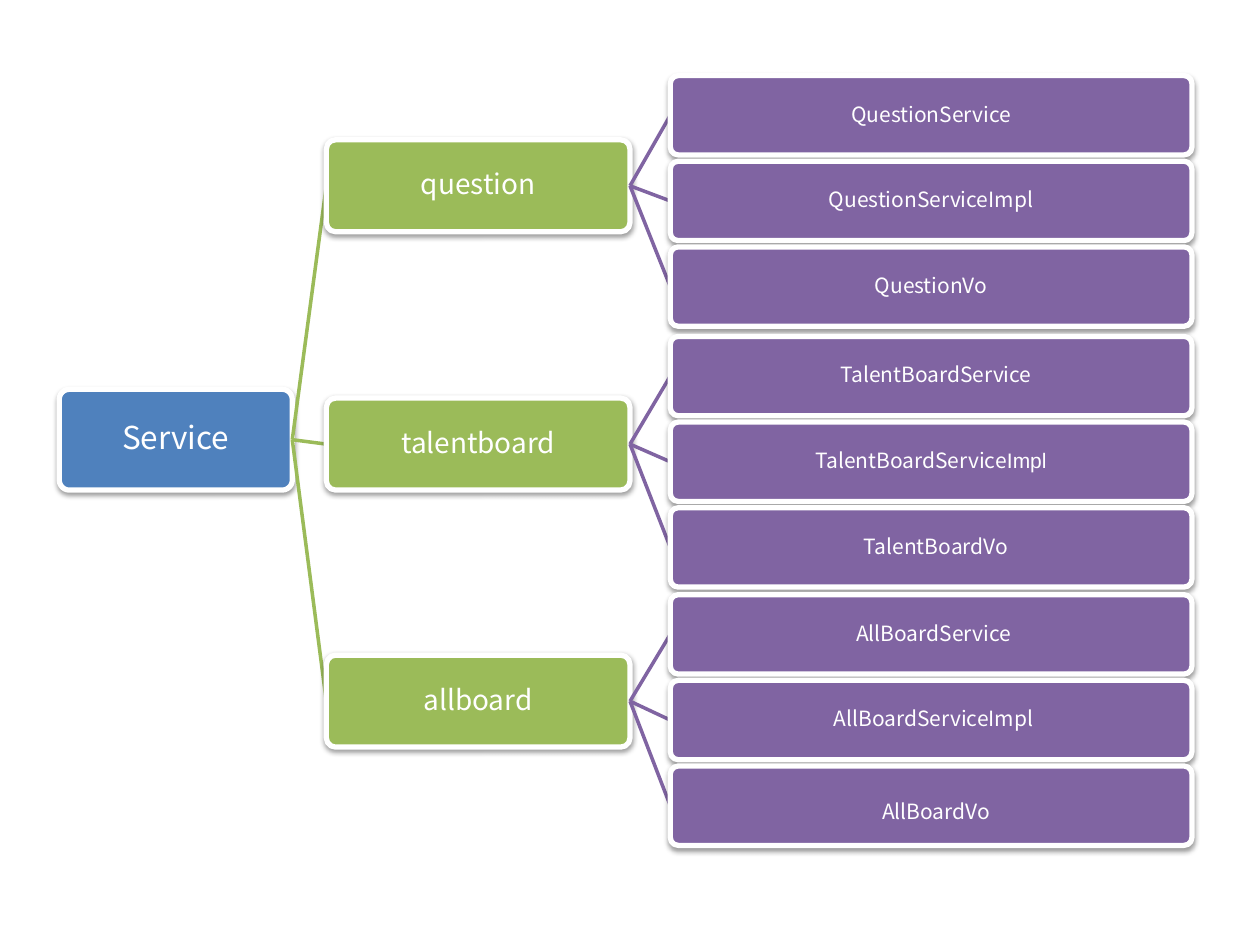
from dataclasses import dataclass

from lxml import etree
from pptx import Presentation
from pptx.dml.color import RGBColor
from pptx.enum.shapes import MSO_CONNECTOR as Link, MSO_SHAPE as Shape
from pptx.enum.text import MSO_ANCHOR as Anchor, PP_ALIGN as Align
from pptx.oxml.ns import qn
from pptx.util import Inches, Pt

BLUE = RGBColor(0x4F, 0x81, 0xBD)
GREEN = RGBColor(0x9B, 0xBB, 0x59)
PURPLE = RGBColor(0x80, 0x64, 0xA2)
WHITE = RGBColor(0xFF, 0xFF, 0xFF)
FONT = "Noto Sans CJK KR"
PITCH = 0.68  # vertical step between leaves
INSET = 0.03


@dataclass
class Level:
    left: float
    width: float
    height: float
    size: int
    color: RGBColor


@dataclass
class Leaf:
    runs: list[str]
    indent: float = 0
    drop: float = 0  # extra space above the text


@dataclass
class Branch:
    name: str
    top: float
    first: float  # top of its first leaf
    leaves: list[Leaf]


ROOT = Level(0.47, 1.85, 0.8, 18, BLUE)
MID = Level(2.59, 2.41, 0.73, 16, GREEN)
END = Level(5.32, 4.14, 0.63, 12, PURPLE)
ROOT_TOP = 3.09

TREE = [
    Branch("question", 1.11, 0.6, [
        Leaf(["QuestionService"]),
        Leaf(["QuestionServiceImpl"]),
        Leaf(["QuestionVo"]),
    ]),
    Branch("talentboard", 3.16, 2.67, [
        Leaf(["TalentBoardService"], 0.08),
        Leaf(["TalentBoardService", "Impl"]),
        Leaf(["TalentBoardVo"], 0.08),
    ]),
    Branch("allboard", 5.2, 4.72, [
        Leaf(["AllBoardService"], 0.04),
        Leaf(["AllBoardServiceImpl"], 0.04),
        Leaf(["AllBoardVo"], 0.08, 0.11),
    ]),
]


def add_shade(props) -> None:
    """Soft shadow straight below the box."""
    effects = props.find(qn("a:effectLst"))
    shade = etree.SubElement(effects, qn("a:outerShdw"), blurRad=str(Pt(3.1)),
                             dist=str(Pt(1.6)), dir="5400000", rotWithShape="0")
    color = etree.SubElement(shade, qn("a:srgbClr"), val="000000")
    etree.SubElement(color, qn("a:alpha"), val="38000")


def add_box(shapes, level: Level, top: float, leaf: Leaf) -> None:
    box = shapes.add_shape(Shape.ROUNDED_RECTANGLE, Inches(level.left), Inches(top),
                           Inches(level.width), Inches(level.height))
    box.adjustments[0] = 0.1
    box.fill.solid()
    box.fill.fore_color.rgb = level.color
    box.line.color.rgb = WHITE
    box.line.width = Pt(3)
    box.shadow.inherit = False
    add_shade(box._element.spPr)

    # Label
    frame = box.text_frame
    frame.word_wrap = True
    frame.vertical_anchor = Anchor.MIDDLE
    frame.margin_left = frame.margin_right = frame.margin_bottom = Inches(INSET)
    frame.margin_top = Inches(INSET + leaf.drop)
    para = frame.paragraphs[0]
    para.alignment = Align.CENTER
    para.line_spacing = 0.9
    if leaf.indent:
        props = para._p.get_or_add_pPr()
        props.set("marL", str(Inches(leaf.indent)))
        props.set("indent", "0")
    for text, face in zip(leaf.runs, (FONT, "Arial")):
        run = para.add_run()
        run.text = text
        run.font.name = face
        run.font.size = Pt(level.size)
        run.font.color.rgb = WHITE


def add_link(shapes, start: Level, top: float, end: Level, end_top: float) -> None:
    """Line from the right edge of one box to the left edge of the next."""
    line = shapes.add_connector(
        Link.STRAIGHT,
        Inches(start.left + start.width), Inches(top + start.height / 2),
        Inches(end.left), Inches(end_top + end.height / 2))
    line.line.color.rgb = end.color
    line.line.width = Pt(2)
    etree.SubElement(line._element.spPr, qn("a:effectLst"))


def main() -> None:
    deck = Presentation()
    deck.slide_width, deck.slide_height = Inches(10), Inches(7.5)
    shapes = deck.slides.add_slide(deck.slide_layouts[6]).shapes

    # Tree, from the root outwards
    add_box(shapes, ROOT, ROOT_TOP, Leaf(["Service"]))
    for branch in TREE:
        add_link(shapes, ROOT, ROOT_TOP, MID, branch.top)
        add_box(shapes, MID, branch.top, Leaf([branch.name]))
        for row, leaf in enumerate(branch.leaves):
            top = branch.first + row * PITCH
            add_link(shapes, MID, branch.top, END, top)
            add_box(shapes, END, top, leaf)

    deck.save("out.pptx")


if __name__ == "__main__":
    main()
